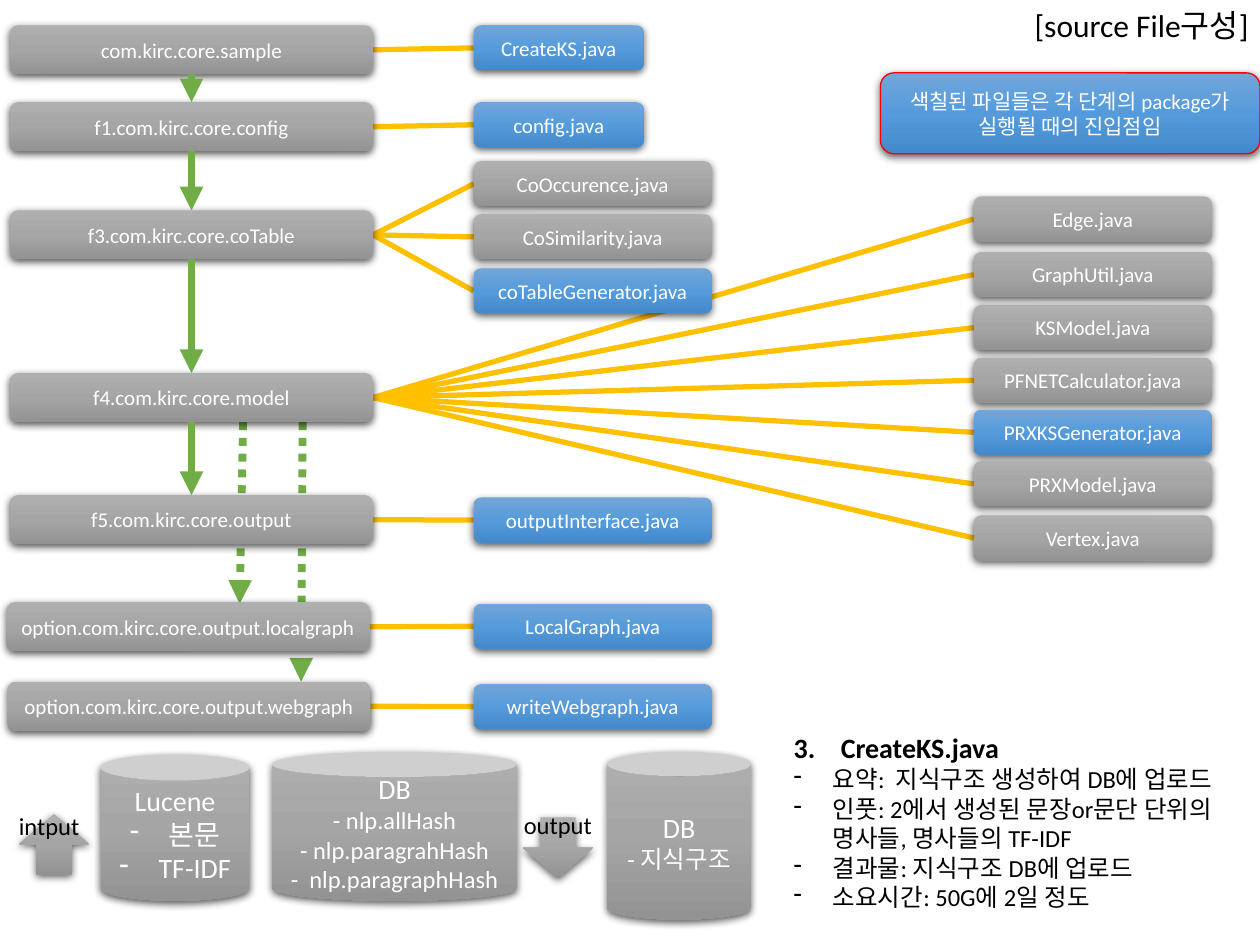
"""Build the source file structure slide."""
import copy

import lxml.etree
import pptx
import pptx.dml.color
import pptx.enum.dml
import pptx.enum.shapes
import pptx.enum.text
import pptx.oxml.ns
import pptx.util

Cm = pptx.util.Cm
qn = pptx.oxml.ns.qn
SHAPES = pptx.enum.shapes.MSO_SHAPE
ALIGN = pptx.enum.text.PP_ALIGN
COLORS = {"link": "FFC000", "flow": "70AD47", "light": "FFFFFF", "dark": "000000", "border": "FF0000"}
GRADIENTS = {"gray": ("AFAFAF", "A5A5A5", "939393"), "blue": ("71A6DB", "559BDB", "448ACA")}
PACKAGE_WIDTH, PACKAGE_HEIGHT = 7.32, 0.99
FILE_HEIGHT, FILE_LEFT, MODEL_LEFT = 0.91, 9.55, 19.63
NARROW, WIDE = 3.43, 4.8

PACKAGES = [
    ("com.kirc.core.sample", 0.2, 0.51, FILE_LEFT, NARROW, [("CreateKS.java", 0.51, "blue")]),
    ("f1.com.kirc.core.config", 0.2, 2.06, FILE_LEFT, NARROW, [("config.java", 2.06, "blue")]),
    ("f3.com.kirc.core.coTable", 0.2, 4.24, FILE_LEFT, WIDE, [
        ("CoOccurence.java", 3.25, "gray"),
        ("CoSimilarity.java", 4.32, "gray"),
        ("coTableGenerator.java", 5.41, "blue"),
    ]),
    ("f4.com.kirc.core.model", 0.2, 7.52, MODEL_LEFT, WIDE, [
        ("Edge.java", 3.96, "gray"),
        ("GraphUtil.java", 5.08, "gray"),
        ("KSModel.java", 6.15, "gray"),
        ("PFNETCalculator.java", 7.21, "gray"),
        ("PRXKSGenerator.java", 8.26, "blue"),
        ("PRXModel.java", 9.3, "gray"),
        ("Vertex.java", 10.39, "gray"),
    ]),
    ("f5.com.kirc.core.output", 0.2, 9.98, FILE_LEFT, WIDE, [("outputInterface.java", 10.03, "blue")]),
    ("option.com.kirc.core.output.localgraph", 0.13, 12.14, FILE_LEFT, WIDE,
     [("LocalGraph.java", 12.17, "blue")]),
    ("option.com.kirc.core.output.webgraph", 0.15, 13.74, FILE_LEFT, WIDE,
     [("writeWebgraph.java", 13.79, "blue")]),
]
STORES = [
    ((5.49, 15.16, 4.93, 3), 0.169, [
        ("DB", 16), ("- nlp.allHash", 14), ("- nlp.paragrahHash", 14), ("-  nlp.paragraphHash", 14)]),
    ((2.03, 15.21, 3, 2.95), 0.178, [("Lucene", 16), ("본문", 16, "-"), ("TF-IDF", 16, "-")]),
    ((12.24, 15.16, 2.9, 3.38), 0.169, [("DB", 16), ("- 지식구조", 14)]),
]
NOTES = [
    ("CreateKS.java", 16, "3."),
    ("요약:  지식구조 생성하여 DB에 업로드", 14, "-"),
    ("인풋: 2에서 생성된 문장or문단 단위의 명사들, 명사들의 TF-IDF", 14, "-"),
    ("결과물: 지식구조 DB에 업로드", 14, "-"),
    ("소요시간: 50G에 2일 정도", 14, "-"),
]


def rgb(name):
    """Return the colour of a palette name or hex string."""
    return pptx.dml.color.RGBColor.from_string(COLORS.get(name, name))


class Canvas:
    """Hold the slide and its style, and draw each kind of element."""

    def __init__(self, slide, font="Calibri"):
        self.slide = slide
        self.font = font

    def fill_text(self, frame, lines, color, align):
        """Fill a text frame with (text, size, optional bullet) lines."""
        for index, (text, size, *bullet) in enumerate(lines):
            paragraph = frame.add_paragraph() if index else frame.paragraphs[0]
            paragraph.text = text
            paragraph.alignment = align
            paragraph.font.name = self.font
            paragraph.font.size = pptx.util.Pt(size)
            paragraph.font.color.rgb = rgb(color)
            if bullet:
                self.bullet(paragraph, bullet[0])

    def bullet(self, paragraph, mark):
        """Give a paragraph a dash, or a bold number such as 3."""
        numbered = mark != "-"
        indent = Cm(0.95 if numbered else 0.79)
        properties = paragraph._p.get_or_add_pPr()
        properties.set("marL", str(indent))
        properties.set("indent", str(-indent))
        if numbered:
            paragraph.font.bold = True
            element = lxml.etree.Element(qn("a:buAutoNum"), type="arabicPeriod", startAt=mark.rstrip("."))
        else:
            element = lxml.etree.Element(qn("a:buChar"), char=mark)
        properties.insert(0, element)

    def block(self, kind, box, lines=(), gradient="gray", border=None, adjustment=None):
        """Draw a shaded shape with centred text."""
        shape = self.slide.shapes.add_shape(kind, *map(Cm, box))
        if adjustment:
            shape.adjustments[0] = adjustment
        shape.fill.gradient()
        shape.fill.gradient_angle = 270
        stops = shape._element.spPr.find(qn("a:gradFill")).find(qn("a:gsLst"))
        stops.insert(1, copy.deepcopy(stops[0]))
        for index, stop in enumerate(shape.fill.gradient_stops):
            stop.position = index / 2
            stop.color.rgb = rgb(GRADIENTS[gradient][index])
        if border:
            shape.line.color.rgb = rgb(border)
            shape.line.width = pptx.util.Pt(0.75)
        else:
            shape.line.fill.background()
        self.shade(shape)
        shape.text_frame.word_wrap = True
        shape.text_frame.vertical_anchor = pptx.enum.text.MSO_ANCHOR.MIDDLE
        self.fill_text(shape.text_frame, lines, "light", ALIGN.CENTER)

    def shade(self, shape):
        """Add a soft shadow below a shape."""
        shape.shadow.inherit = False
        effects = shape._element.spPr.find(qn("a:effectLst"))
        shadow = lxml.etree.SubElement(effects, qn("a:outerShdw"), blurRad="57150", dist="19050",
                                       dir="5400000", algn="ctr", rotWithShape="0")
        color = lxml.etree.SubElement(shadow, qn("a:srgbClr"), val=COLORS["dark"])
        lxml.etree.SubElement(color, qn("a:alpha"), val="63000")

    def text(self, box, lines, align=ALIGN.LEFT, wrap=True):
        """Draw a plain text box."""
        shape = self.slide.shapes.add_textbox(*map(Cm, box))
        shape.text_frame.word_wrap = wrap
        self.fill_text(shape.text_frame, lines, "dark", align)

    def line(self, start, end, color="link", width=3, arrow=False, dotted=False):
        """Draw a straight line, with an arrowhead or dots if asked."""
        connector = self.slide.shapes.add_connector(
            pptx.enum.shapes.MSO_CONNECTOR.STRAIGHT, *map(Cm, (*start, *end)))
        connector.line.color.rgb = rgb(color)
        connector.line.width = pptx.util.Pt(width)
        if dotted:
            connector.line.dash_style = pptx.enum.dml.MSO_LINE.ROUND_DOT
        if arrow:
            outline = connector._element.spPr.find(qn("a:ln"))
            lxml.etree.SubElement(outline, qn("a:tailEnd"), type="triangle")
        lxml.etree.SubElement(connector._element.spPr, qn("a:effectLst"))

    def flow(self, start, end, dotted=False):
        """Draw a green arrow between packages."""
        self.line(start, end, "flow", 4.5, True, dotted)


def main():
    """Draw the slide and save it."""
    presentation = pptx.Presentation()
    presentation.slide_width, presentation.slide_height = Cm(25.4), Cm(19.05)
    canvas = Canvas(presentation.slides.add_slide(presentation.slide_layouts[6]))

    for name, left, top, file_left, width, files in PACKAGES:
        for file_name, file_top, gradient in files:
            canvas.line((left + PACKAGE_WIDTH, top + PACKAGE_HEIGHT / 2),
                        (file_left, file_top + FILE_HEIGHT / 2))
    canvas.flow((4.9, 8.51), (4.83, 12.17), dotted=True)
    canvas.flow((6.1, 8.51), (6.07, 13.74), dotted=True)
    for name, left, top, file_left, width, files in PACKAGES:
        canvas.block(SHAPES.ROUNDED_RECTANGLE, (left, top, PACKAGE_WIDTH, PACKAGE_HEIGHT), [(name, 12)])
        for file_name, file_top, gradient in files:
            canvas.block(SHAPES.ROUNDED_RECTANGLE, (file_left, file_top, width, FILE_HEIGHT),
                         [(file_name, 12)], gradient)
    main_tops = [package[2] for package in PACKAGES[:5]]
    for top, next_top in zip(main_tops, main_tops[1:]):
        canvas.flow((3.86, top + PACKAGE_HEIGHT), (3.86, next_top))

    canvas.text((19.63, 0, 5.79, 1.02), [("[source File구성]", 18)], ALIGN.RIGHT)
    canvas.block(SHAPES.ROUNDED_RECTANGLE, (17.75, 1.47, 7.65, 1.63),
                 [("색칠된 파일들은 각 단계의 package가 실행될 때의 진입점임", 12)], "blue", "border")
    for box, adjustment, lines in STORES:
        canvas.block(SHAPES.CAN, box, lines, adjustment=adjustment)
    canvas.block(SHAPES.UP_ARROW, (0.38, 16.41, 1.42, 1.22))
    canvas.text((0.13, 16.23, 1.75, 0.86), [("intput", 14)], wrap=False)
    canvas.block(SHAPES.DOWN_ARROW, (10.54, 16.48, 1.42, 1.22))
    canvas.text((10.31, 16.21, 1.91, 0.86), [("output", 14)], wrap=False)
    canvas.text((15.75, 14.61, 9.65, 3.94), NOTES)
    presentation.save("out.pptx")


if __name__ == "__main__":
    main()
